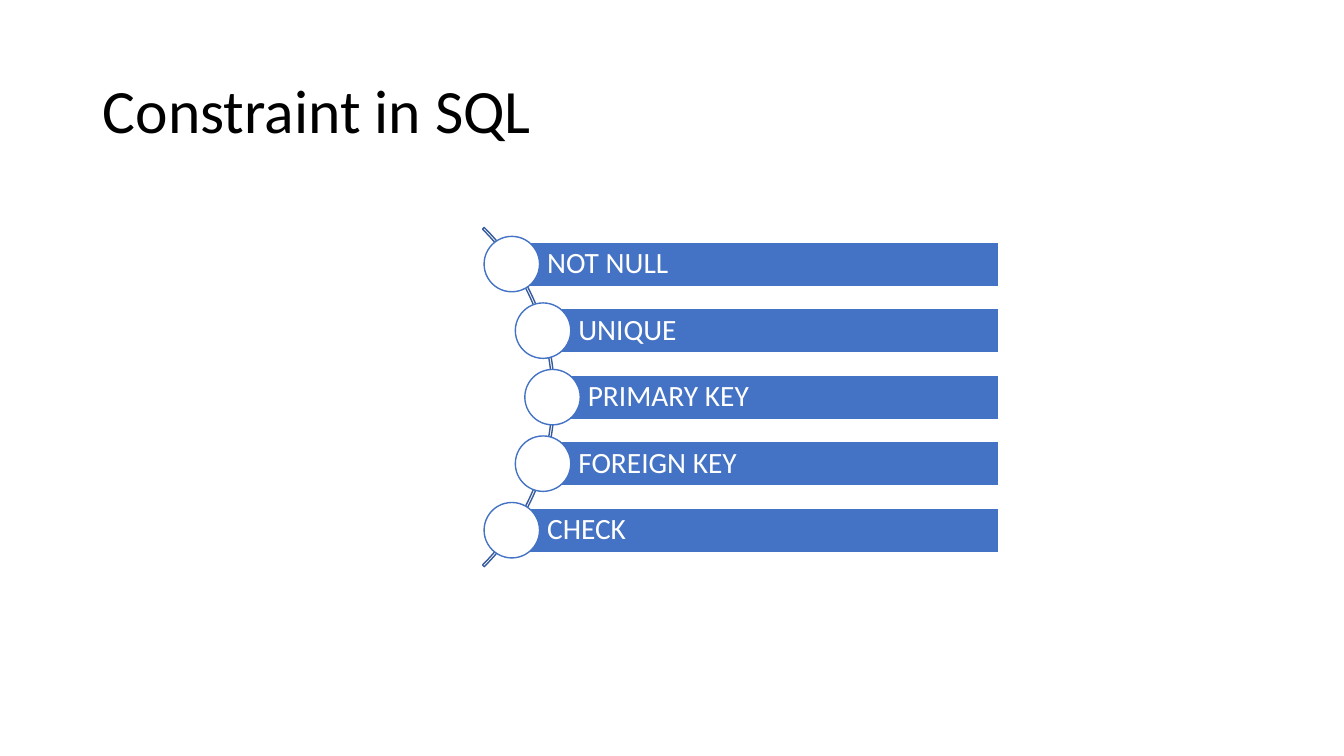
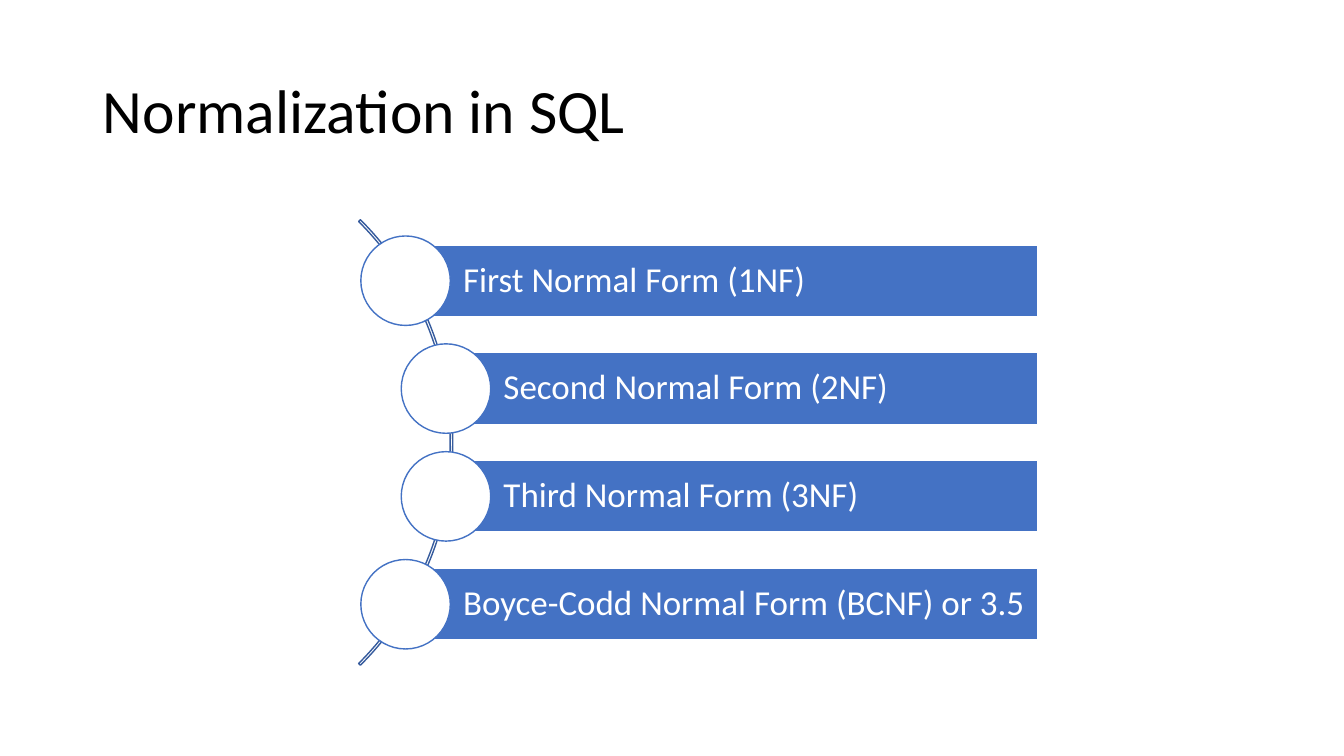
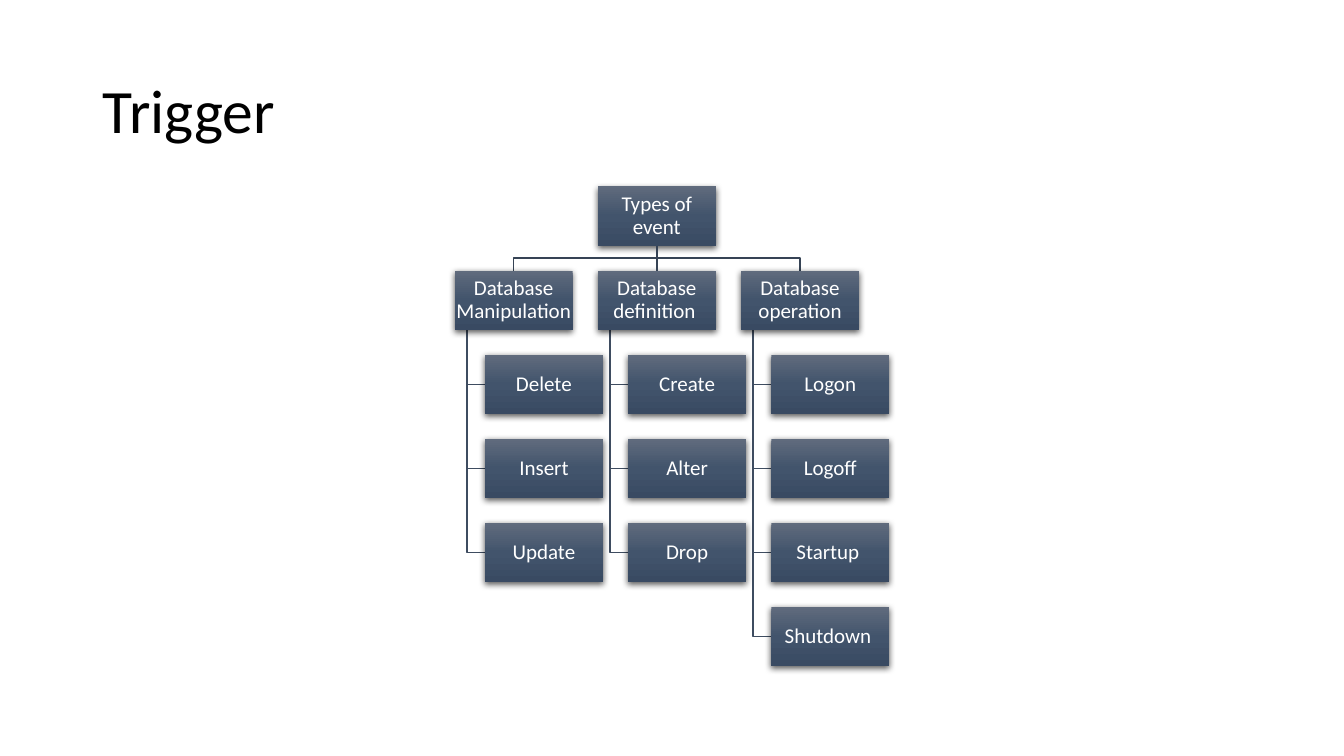
from dataclasses import dataclass
from math import sqrt

from lxml import etree
from pptx import Presentation
from pptx import util as u
from pptx.dml.color import RGBColor
from pptx.enum import shapes, text
from pptx.oxml import parse_xml
from pptx.oxml.ns import nsdecls, qn
from pptx.util import Inches


@dataclass(frozen=True)
class Theme:
    font: str = "Calibri"
    white: str = "FFFFFF"
    black: str = "000000"
    accent: str = "4472C4"
    arc: str = "365B9D"
    trunk: str = "364355"
    branch: str = "3E4C60"
    node_gradient: tuple[str, ...] = ("606B7D", "42546C", "394A62")
    title_size: int = 44
    node_size: int = 15
    line_width: int = 1


@dataclass(frozen=True)
class ArcList:
    """Bars whose left ends follow an arc; lengths in inches."""
    title: str
    items: tuple[str, ...]
    arc_left: float
    arc_size: float
    arc_thickness: float
    middle: float
    pitch: float
    bar_height: float
    bar_right: float
    indent: float
    padding: float
    text_size: int


@dataclass(frozen=True)
class Branch:
    heading: str
    events: tuple[str, ...]


THEME = Theme()

ARC_LISTS = (
    ArcList("Constraint in SQL",
            ("NOT NULL", "UNIQUE", "PRIMARY KEY", "FOREIGN KEY", "CHECK"),
            arc_left=0.74, arc_size=4.76, arc_thickness=0.005, middle=3.94,
            pitch=0.66, bar_height=0.44, bar_right=9.91,
            indent=0.35, padding=0.06, text_size=21),
    ArcList("Normalization in SQL",
            ("First Normal Form (1NF)", "Second Normal Form (2NF)",
             "Third Normal Form (3NF)", "Boyce-Codd Normal Form (BCNF) or 3.5"),
            arc_left=-1.76, arc_size=6.25, arc_thickness=0.004, middle=4.39,
            pitch=1.07, bar_height=0.71, bar_right=10.29,
            indent=0.57, padding=0.07, text_size=25),
)
TRACK_INSET = 0.02
CIRCLE_RATIO = 1.25

ROOT = "Types of event"
BRANCHES = (
    Branch("Database Manipulation", ("Delete", "Insert", "Update")),
    Branch("Database definition ", ("Create", "Alter", "Drop")),
    Branch("Database operation", ("Logon", "Logoff", "Startup ", "Shutdown ")),
)
NODE_WIDTH, NODE_HEIGHT = 1.17, 0.59
TREE_LEFT, TREE_TOP, LAST_ROW_TOP = 4.51, 1.85, 6.02
COLUMN_PITCH = 1.42
ROW_PITCH = (LAST_ROW_TOP - TREE_TOP) / 5
STEM_INDENT, EVENT_INDENT = 0.12, 0.3


def rgb(colour: str) -> RGBColor:
    return RGBColor.from_string(colour)


def set_line(item, colour: str) -> None:
    item.line.color.rgb = rgb(colour)
    item.line.width = u.Pt(THEME.line_width)


def set_text(frame, words: str, size: int, colour: str, align) -> None:
    frame.word_wrap = True
    frame.vertical_anchor = text.MSO_ANCHOR.MIDDLE
    paragraph = frame.paragraphs[0]
    paragraph.text = words
    paragraph.alignment = align
    paragraph.line_spacing = 0.9
    font = paragraph.font
    font.name, font.size, font.color.rgb = THEME.font, u.Pt(size), rgb(colour)


def set_insets(frame, left: float, other: float) -> None:
    frame.margin_left = Inches(left)
    frame.margin_top = frame.margin_right = frame.margin_bottom = Inches(other)


def add_titled_slide(deck, words: str):
    slide = deck.slides.add_slide(deck.slide_layouts[5])
    title = slide.shapes.title
    title.left, title.top = Inches(0.92), Inches(0.4)
    title.width, title.height = Inches(11.5), Inches(1.45)
    set_text(title.text_frame, words, THEME.title_size, THEME.black,
             text.PP_ALIGN.LEFT)
    return slide


def add_preset(slide, kind, left: float, top: float, width: float, height: float):
    shape = slide.shapes.add_shape(kind, Inches(left), Inches(top),
                                   Inches(width), Inches(height))
    shape.shadow.inherit = False
    return shape


def add_filled(slide, kind, left: float, top: float, width: float,
               height: float, fill: str, line: str):
    shape = add_preset(slide, kind, left, top, width, height)
    shape.fill.solid()
    shape.fill.fore_color.rgb = rgb(fill)
    set_line(shape, line)
    return shape


def draw_arc_list(slide, plan: ArcList) -> None:
    radius = plan.arc_size / 2
    arc = add_preset(slide, shapes.MSO_SHAPE.BLOCK_ARC, plan.arc_left,
                     plan.middle - radius, plan.arc_size, plan.arc_size)
    for index, value in enumerate((189, 27, plan.arc_thickness)):
        arc.adjustments[index] = value
    arc.fill.background()
    set_line(arc, THEME.arc)

    diameter = plan.bar_height * CIRCLE_RATIO
    track = radius - TRACK_INSET
    for index, item in enumerate(plan.items):
        offset = (index - (len(plan.items) - 1) / 2) * plan.pitch
        x = plan.arc_left + radius + sqrt(track ** 2 - offset ** 2)
        y = plan.middle + offset
        bar = add_filled(slide, shapes.MSO_SHAPE.RECTANGLE, x,
                         y - plan.bar_height / 2, plan.bar_right - x,
                         plan.bar_height, THEME.accent, THEME.white)
        set_insets(bar.text_frame, plan.indent, plan.padding)
        set_text(bar.text_frame, item, plan.text_size, THEME.white,
                 text.PP_ALIGN.LEFT)
        add_filled(slide, shapes.MSO_SHAPE.OVAL, x - diameter / 2,
                   y - diameter / 2, diameter, diameter,
                   THEME.white, THEME.accent)


def add_node(slide, words: str, left: float, top: float):
    """Add a box with a vertical gradient and a soft shadow below."""
    node = add_preset(slide, shapes.MSO_SHAPE.RECTANGLE, left, top,
                      NODE_WIDTH, NODE_HEIGHT)
    node.line.fill.background()
    stops = "".join(
        f'<a:gs pos="{index * 50000}"><a:srgbClr val="{colour}"/></a:gs>'
        for index, colour in enumerate(THEME.node_gradient))
    properties = node._element.spPr
    properties.find(qn("a:prstGeom")).addnext(parse_xml(
        f'<a:gradFill {nsdecls("a")} rotWithShape="1"><a:gsLst>{stops}</a:gsLst>'
        '<a:lin ang="5400000" scaled="0"/></a:gradFill>'))
    properties.find(qn("a:effectLst")).append(parse_xml(
        f'<a:outerShdw {nsdecls("a")} blurRad="{u.Pt(4.5)}" dist="{u.Pt(1.5)}" '
        f'dir="5400000" algn="ctr" rotWithShape="0"><a:srgbClr val="{THEME.black}">'
        '<a:alpha val="63000"/></a:srgbClr></a:outerShdw>'))
    set_insets(node.text_frame, 0.01, 0.01)
    set_text(node.text_frame, words, THEME.node_size, THEME.white,
             text.PP_ALIGN.CENTER)
    return node


def add_elbow(slide, points: list[tuple[float, float]], colour: str) -> None:
    start, *rest = [(Inches(x), Inches(y)) for x, y in points]
    builder = slide.shapes.build_freeform(*start)
    builder.add_line_segments(rest, close=False)
    elbow = builder.convert_to_shape()
    elbow.shadow.inherit = False
    elbow.fill.background()
    set_line(elbow, colour)


def join_down(slide, upper, lower) -> None:
    joint = slide.shapes.add_connector(shapes.MSO_CONNECTOR.STRAIGHT, 0, 0, 0, 0)
    joint.begin_connect(upper, 2)
    joint.end_connect(lower, 0)
    set_line(joint, THEME.trunk)
    etree.SubElement(joint._element.spPr, qn("a:effectLst"))


def row_top(row: int) -> float:
    return TREE_TOP + row * ROW_PITCH


def draw_event_tree(slide) -> None:
    middle = len(BRANCHES) // 2
    root_left = TREE_LEFT + middle * COLUMN_PITCH
    root_x = root_left + NODE_WIDTH / 2
    root_bottom = TREE_TOP + NODE_HEIGHT
    heading_top = row_top(1)
    heading_bottom = heading_top + NODE_HEIGHT
    fork_y = (root_bottom + heading_top) / 2
    lefts = [TREE_LEFT + index * COLUMN_PITCH for index in range(len(BRANCHES))]

    for index, (left, branch) in enumerate(zip(lefts, BRANCHES)):
        stem_x = left + STEM_INDENT
        for row in range(2, 2 + len(branch.events)):
            event_y = row_top(row) + NODE_HEIGHT / 2
            add_elbow(slide, [(stem_x, heading_bottom), (stem_x, event_y),
                              (left + EVENT_INDENT, event_y)], THEME.branch)
        if index != middle:
            heading_x = left + NODE_WIDTH / 2
            add_elbow(slide, [(root_x, root_bottom), (root_x, fork_y),
                              (heading_x, fork_y), (heading_x, heading_top)],
                      THEME.trunk)

    root = add_node(slide, ROOT, root_left, TREE_TOP)
    headings = []
    for left, branch in zip(lefts, BRANCHES):
        headings.append(add_node(slide, branch.heading, left, heading_top))
        for row, event in enumerate(branch.events, start=2):
            add_node(slide, event, left + EVENT_INDENT, row_top(row))
    join_down(slide, root, headings[middle])


def main() -> None:
    deck = Presentation()
    deck.slide_width, deck.slide_height = Inches(13.33), Inches(7.5)
    for plan in ARC_LISTS:
        draw_arc_list(add_titled_slide(deck, plan.title), plan)
    draw_event_tree(add_titled_slide(deck, "Trigger"))
    deck.save("out.pptx")


if __name__ == "__main__":
    main()
